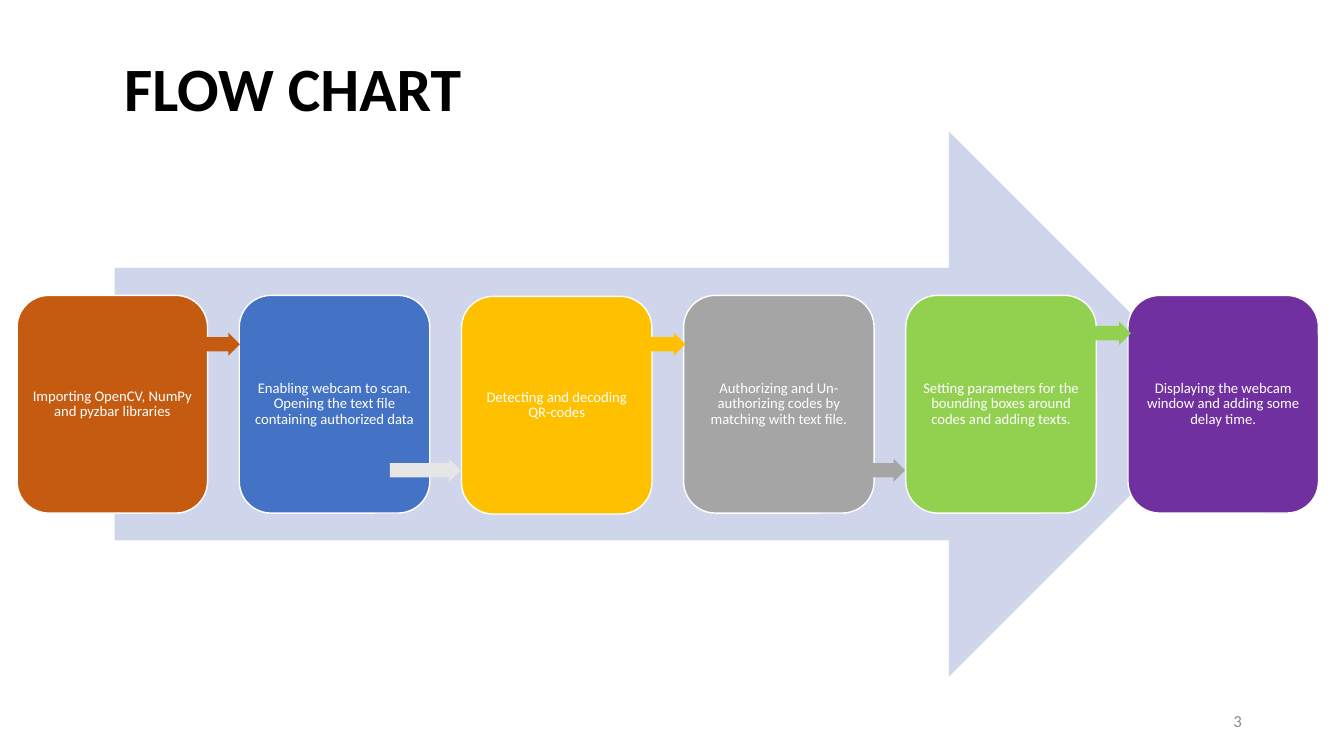
from pptx import Presentation
from pptx.dml.color import RGBColor
from pptx.enum.shapes import MSO_SHAPE
from pptx.enum.text import MSO_ANCHOR, MSO_AUTO_SIZE, PP_ALIGN
from pptx.util import Pt

TITLE = "FLOW CHART"
PAGE = "3"
COLORS = {
    "black": "000000", "white": "FFFFFF", "number": "8C8C8C",
    "band": "CFD5EA", "rust": "C55A11", "blue": "4472C4",
    "gold": "FFC000", "gray": "A5A5A5", "green": "92D050",
    "purple": "7030A0", "pale": "E7E6E6",
}
# text, colour, top in points
STEPS = [
    ("Importing OpenCV, NumPy and pyzbar libraries", "rust", 211),
    ("Enabling webcam to scan. Opening the text file containing authorized data",
     "blue", 211),
    ("Detecting and decoding QR-codes", "gold", 211.7),
    ("Authorizing and Un-authorizing codes by matching with text file.", "gray", 211),
    ("Setting parameters for the bounding boxes around codes and adding texts.",
     "green", 211),
    ("Displaying the webcam window and adding some delay time.", "purple", 211),
]
# colour, top, distance of the tip past the next box's left side
LINKS = [
    ("rust", 237.6, 0.5),
    ("pale", 327.6, -0.6),
    ("gold", 237.6, 1.3),
    ("gray", 327.6, -0.4),
    ("green", 229.7, 2.1),
]
LEFT, STEP = 12.2, 158.7
BOX_W, BOX_H = 136.1, 155.5
LINK_W, LINK_H = 50.4, 16.6


def color(name):
    return RGBColor.from_string(COLORS[name])


def write(shape, text, size, ink="white", bold=False,
          align=PP_ALIGN.CENTER, inset=(7.2, 3.6), spacing=0.9):
    frame = shape.text_frame
    frame.word_wrap = True
    frame.auto_size = MSO_AUTO_SIZE.NONE
    frame.vertical_anchor = MSO_ANCHOR.MIDDLE
    frame.margin_left = frame.margin_right = Pt(inset[0])
    frame.margin_top = frame.margin_bottom = Pt(inset[1])
    para = frame.paragraphs[0]
    para.alignment = align
    para.line_spacing = spacing
    run = para.add_run()
    run.text = text
    run.font.name = "Calibri"
    run.font.size = Pt(size)
    run.font.bold = bold
    run.font.color.rgb = color(ink)


def draw(slide, kind, left, top, width, height, fill, line=None):
    shape = slide.shapes.add_shape(kind, Pt(left), Pt(top), Pt(width), Pt(height))
    shape.shadow.inherit = False
    shape.fill.solid()
    shape.fill.fore_color.rgb = color(fill)
    if line:
        shape.line.color.rgb = color(line)
        shape.line.width = Pt(1)
    else:
        shape.line.fill.background()
    return shape


def main():
    deck = Presentation()
    deck.slide_width, deck.slide_height = Pt(960), Pt(540)
    slide = deck.slides.add_slide(deck.slide_layouts[5])

    title = slide.shapes.title
    title.left, title.top = Pt(81.4), Pt(31)
    title.width, title.height = Pt(669), Pt(68.4)
    write(title, TITLE, 44, ink="black", bold=True, align=PP_ALIGN.LEFT)

    number = slide.shapes.add_textbox(Pt(678.2), Pt(500.4), Pt(216), Pt(28.8))
    write(number, PAGE, 12, ink="number", align=PP_ALIGN.RIGHT, spacing=1.0)

    draw(slide, MSO_SHAPE.RIGHT_ARROW, 81.9, 93.9, 790.6, 389.5, "band")
    for i, (text, fill, top) in enumerate(STEPS):
        box = draw(slide, MSO_SHAPE.ROUNDED_RECTANGLE, LEFT + i * STEP, top,
                   BOX_W, BOX_H, fill, line="white")
        write(box, text, 10.5, inset=(3.6, 3.6))

    for i, (fill, top, past) in enumerate(LINKS, 1):
        left = LEFT + i * STEP + past - LINK_W
        link = draw(slide, MSO_SHAPE.RIGHT_ARROW, left, top, LINK_W, LINK_H, fill)
        link.adjustments[0] = 0.62

    deck.save("out.pptx")


if __name__ == "__main__":
    main()
